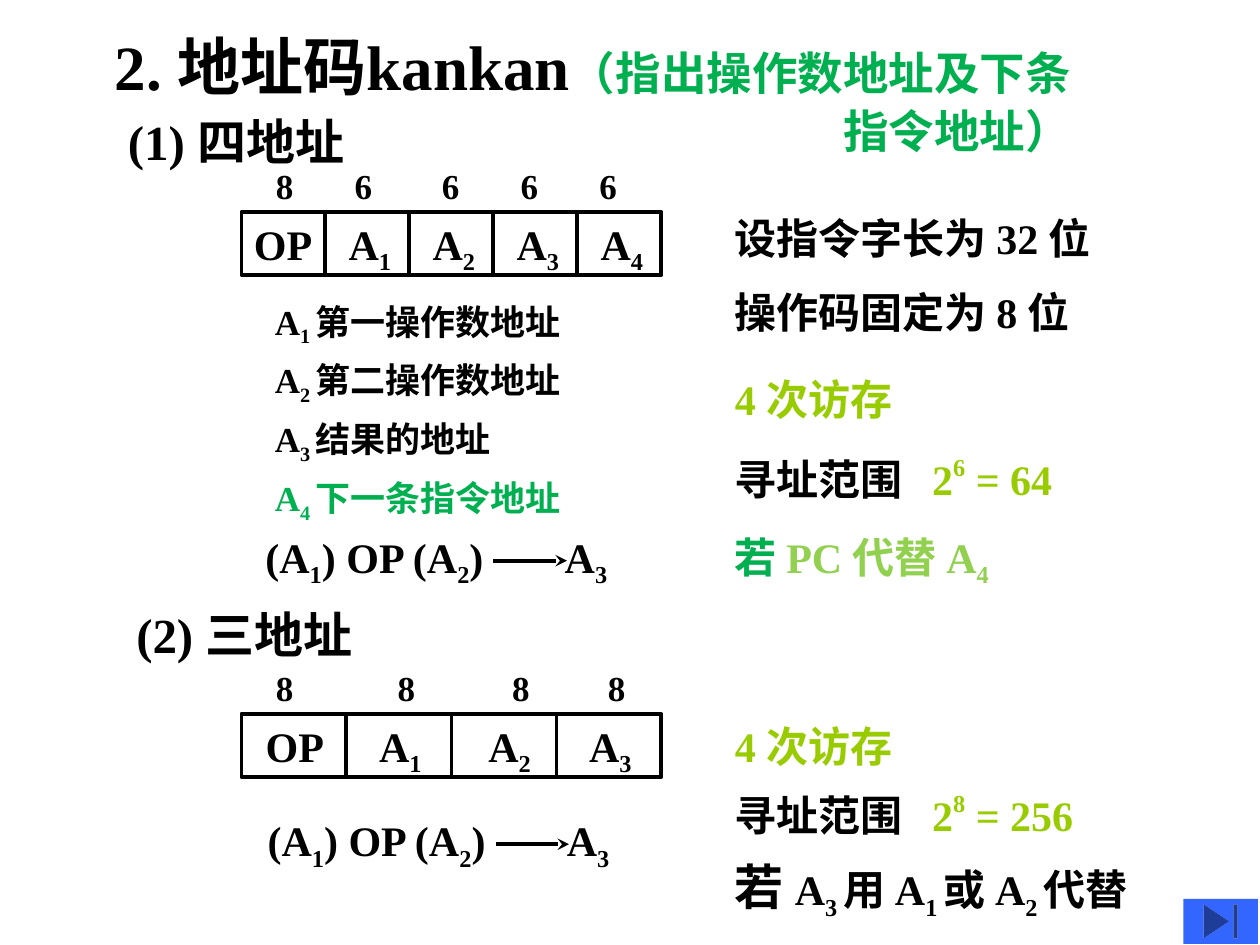
from dataclasses import dataclass
from typing import NamedTuple, Optional

from lxml import etree
from pptx import Presentation
from pptx.dml.color import RGBColor
from pptx.enum.shapes import MSO_CONNECTOR, MSO_SHAPE
from pptx.enum.text import MSO_ANCHOR, PP_ALIGN
from pptx.oxml.ns import qn
from pptx.util import Emu, Inches, Pt

RECTANGLE = MSO_SHAPE.RECTANGLE
END_BUTTON = MSO_SHAPE.ACTION_BUTTON_END
STRAIGHT = MSO_CONNECTOR.STRAIGHT
LEFT, RIGHT = PP_ALIGN.LEFT, PP_ALIGN.RIGHT
TOP = MSO_ANCHOR.TOP

SLIDE_WIDTH, SLIDE_HEIGHT = Inches(10), Inches(7.5)
COLUMNS, ROWS = 120, 90
SUB, SUPER = -25, 45


@dataclass(frozen=True)
class Theme:
    font: str = "Times New Roman"
    ink: str = "000000"
    green: str = "00B050"
    light_green: str = "92D050"
    lime: str = "99CC00"
    button: str = "3366FF"
    title: int = 36
    heading: int = 28
    aside: int = 26
    body: int = 24
    small: int = 20
    stroke: float = 2.25


THEME = Theme()


class Run(NamedTuple):
    text: str
    size: int = THEME.body
    color: str = THEME.ink
    baseline: int = 0


class Line(NamedTuple):
    left: float
    top: float
    width: float
    height: float
    runs: list[Run]
    tabs: tuple[float, ...] = ()
    align: PP_ALIGN = LEFT
    spacing: Optional[float] = None


class Field(NamedTuple):
    indent: float
    runs: list[Run]


class InstructionFormat(NamedTuple):
    top: float
    field_width: float
    fields: list[Field]
    bits: str
    bit_tabs: tuple[float, ...]


def col(count: float) -> Emu:
    return Emu(round(SLIDE_WIDTH * count / COLUMNS))


def row(count: float) -> Emu:
    return Emu(round(SLIDE_HEIGHT * count / ROWS))


def address(index: str, size: int = THEME.body, color: str = THEME.ink, before: str = "") -> list[Run]:
    return [Run(before + "A", size, color), Run(index, size, color, SUB)]


def write_runs(paragraph, runs: list[Run]) -> None:
    for item in runs:
        run = paragraph.add_run()
        run.text = item.text
        run.font.name = THEME.font
        run.font.size = Pt(item.size)
        run.font.bold = True
        run.font.color.rgb = RGBColor.from_string(item.color)
        if item.baseline:
            run._r.get_or_add_rPr().set("baseline", str(item.baseline * 1000))


def draw_line(slide, line: Line) -> None:
    box = slide.shapes.add_textbox(col(line.left), row(line.top), col(line.width), row(line.height))
    box.text_frame.word_wrap = True
    paragraph = box.text_frame.paragraphs[0]
    paragraph.alignment = line.align
    if line.spacing:
        paragraph.line_spacing = line.spacing
    if line.tabs:
        stops = etree.SubElement(paragraph._p.get_or_add_pPr(), qn("a:tabLst"))
        for position in line.tabs:
            etree.SubElement(stops, qn("a:tab"), pos=str(col(position)), algn="l")
    write_runs(paragraph, line.runs)


def draw_format(slide, layout: InstructionFormat) -> None:
    draw_line(slide, Line(25.1, layout.top - 5.1, 40, 5.3,
                          [Run(layout.bits, THEME.small)], layout.bit_tabs))
    for index, field in enumerate(layout.fields):
        cell = slide.shapes.add_shape(RECTANGLE, col(23 + index * layout.field_width),
                                      row(layout.top), col(layout.field_width), row(6))
        cell.shadow.inherit = False
        cell.fill.background()
        cell.line.color.rgb = RGBColor.from_string(THEME.ink)
        cell.line.width = Pt(THEME.stroke)
        frame = cell.text_frame
        frame.word_wrap = True
        frame.vertical_anchor = TOP
        frame.margin_left, frame.margin_right = col(field.indent), 0
        frame.paragraphs[0].alignment = LEFT
        write_runs(frame.paragraphs[0], field.runs)


def draw_operation(slide, left: float, top: float) -> None:
    runs = [*address("1", before="("), *address("2", before=") OP ("), *address("3", before=")\t")]
    draw_line(slide, Line(left, top, 35.4, 6.7, runs, (28.5,)))
    arrow = slide.shapes.add_connector(STRAIGHT, col(left + 22.9), row(top + 3.4),
                                       col(left + 29.9), row(top + 3.4))
    arrow.line.color.rgb = RGBColor.from_string(THEME.ink)
    arrow.line.width = Pt(THEME.stroke)
    etree.SubElement(arrow.line._get_or_add_ln(), qn("a:tailEnd"), type="stealth")
    etree.SubElement(arrow._element.spPr, qn("a:effectLst"))


def draw_end_button(slide) -> None:
    button = slide.shapes.add_shape(END_BUTTON, col(112.7), row(85.6), col(7.1), row(4.3))
    button.shadow.inherit = False
    button.fill.solid()
    button.fill.fore_color.rgb = RGBColor.from_string(THEME.button)
    button.line.fill.background()


def note(top: float, runs: list[Run], width: float = 44.2, height: float = 6, **options) -> Line:
    return Line(68.8, top, width, height, runs, **options)


def address_range(top: float, exponent: str, total: str) -> Line:
    return note(top, [Run("寻址范围\t"), Run("2", color=THEME.lime),
                      Run(exponent, color=THEME.lime, baseline=SUPER),
                      Run(f" = {total}", color=THEME.lime)], tabs=(18.8,))


HEADINGS = [
    Line(5.8, 2, 97.4, 13.7, [Run("2. 地址码kankan", THEME.title),
                              Run("（指出操作数地址及下条指令地址）", THEME.aside, THEME.green)], align=RIGHT),
    Line(11, 10, 63, 6.8, [Run("(1) 四地址", THEME.heading)]),
    Line(11.8, 57, 66.2, 6.8, [Run("(2) 三地址", THEME.heading)]),
]

FORMATS = [
    InstructionFormat(20.2, 8, [Field(1.2, [Run("OP")]), *(Field(2.2, address(n)) for n in "1234")],
                      "8\t6\t6\t6\t6", (7.5, 15.8, 23.3, 30.8)),
    InstructionFormat(68, 10, [Field(2.3, [Run("OP")]), Field(3.1, address("1")),
                               Field(3.5, address("2")), Field(3.1, address("3"))],
                      "8\t8\t8\t8", (11.6, 22.5, 31.6)),
]

ADDRESS_ROLES = [
    ("第一操作数地址", THEME.ink),
    ("第二操作数地址", THEME.ink),
    ("结果的地址", THEME.ink),
    ("下一条指令地址", THEME.green),
]

NOTES = [
    note(20.2, [Run("设指令字长为 32 位")], spacing=0.9),
    note(27.2, [Run("操作码固定为 8 位")], spacing=0.9),
    *(note(top, [Run("4 次访存", color=THEME.lime)], 31) for top in (35, 68)),
    address_range(42.5, "6", "64"),
    address_range(74.5, "8", "256"),
    note(50, [Run("若 ", color=THEME.green),
              *address("4", color=THEME.light_green, before="PC 代替 ")], 36.2, 6.7),
    note(81, [Run("若 ", THEME.heading), *address("3 "), *address("1 ", before="用 "),
              *address("2 ", before="或 "), Run("代替")], 46, 7.3),
]


def main() -> None:
    presentation = Presentation()
    presentation.slide_width, presentation.slide_height = SLIDE_WIDTH, SLIDE_HEIGHT
    slide = presentation.slides.add_slide(presentation.slide_layouts[6])
    for line in HEADINGS:
        draw_line(slide, line)
    for layout in FORMATS:
        draw_format(slide, layout)
    for index, (role, color) in enumerate(ADDRESS_ROLES):
        runs = [*address(f"{index + 1} ", THEME.small, color), Run(role, THEME.small, color)]
        draw_line(slide, Line(25, 28 + 5.6 * index, 36, 5.8, runs))
    for left, top in ((24.1, 50), (24.3, 77)):
        draw_operation(slide, left, top)
    for line in NOTES:
        draw_line(slide, line)
    draw_end_button(slide)
    presentation.save("out.pptx")


if __name__ == "__main__":
    main()
